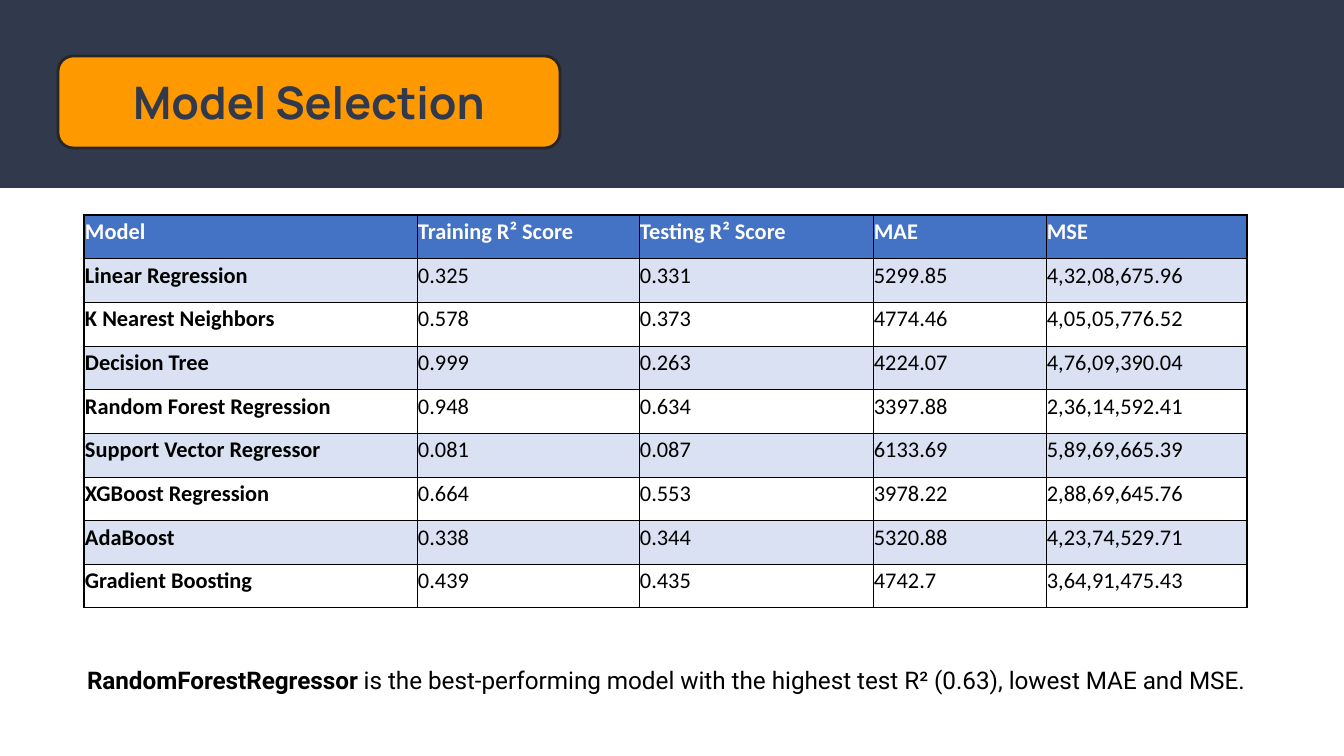
from dataclasses import dataclass

from lxml.etree import SubElement
from pptx import Presentation
from pptx.dml.color import RGBColor
from pptx.enum.shapes import MSO_SHAPE as Shape
from pptx.enum.text import MSO_ANCHOR as Anchor, MSO_AUTO_SIZE as AutoSize, PP_ALIGN as Align
from pptx.oxml.ns import qn
from pptx.util import Pt

EMU_PER_PX = 914400 * 10 / 1344


@dataclass(frozen=True)
class Theme:
    navy: str = "31394D"
    orange: str = "FF9900"
    outline: str = "262626"
    header: str = "4472C4"
    band: str = "D9E1F2"
    black: str = "000000"
    white: str = "FFFFFF"
    title_font: str = "Manrope"
    table_font: str = "Calibri"
    body_font: str = "Roboto"
    title_size: int = 24
    table_size: int = 12
    body_size: int = 13
    thin: float = 0.38
    thick: float = 0.75


def px(value):
    return round(value * EMU_PER_PX)


class SlideBuilder:
    def __init__(self, slide, theme):
        self.slide = slide
        self.theme = theme

    def style(self, font, name, size, color, bold=False):
        font.name = name
        font.size = Pt(size)
        font.bold = bold
        font.color.rgb = RGBColor.from_string(color)

    def box(self, kind, left, top, width, height, fill, line=None):
        shape = self.slide.shapes.add_shape(kind, px(left), px(top), px(width), px(height))
        shape.shadow.inherit = False
        shape.fill.solid()
        shape.fill.fore_color.rgb = RGBColor.from_string(fill)
        if line:
            shape.line.color.rgb = RGBColor.from_string(line)
            shape.line.width = Pt(1.5)
        else:
            shape.line.fill.background()
        return shape

    def inset(self, frame):
        frame.margin_left = frame.margin_right = px(13)
        frame.margin_top = frame.margin_bottom = px(13)
        frame.word_wrap = True

    def title(self, text, left, top, width, height):
        theme = self.theme
        shape = self.box(Shape.ROUNDED_RECTANGLE, left, top, width, height, theme.orange, theme.outline)
        frame = shape.text_frame
        self.inset(frame)
        frame.vertical_anchor = Anchor.MIDDLE
        frame.text = text
        paragraph = frame.paragraphs[0]
        paragraph.alignment = Align.CENTER
        self.style(paragraph.runs[0].font, theme.title_font, theme.title_size, theme.navy, True)

    def note(self, lead, rest, left, top, width, height):
        theme = self.theme
        shape = self.slide.shapes.add_textbox(px(left), px(top), px(width), px(height))
        frame = shape.text_frame
        self.inset(frame)
        frame.auto_size = AutoSize.SHAPE_TO_FIT_TEXT
        for text, bold in ((lead, True), (rest, False)):
            run = frame.paragraphs[0].add_run()
            run.text = text
            self.style(run.font, theme.body_font, theme.body_size, theme.black, bold)

    def borders(self, cell, outer_edges):
        properties = cell._tc.get_or_add_tcPr()
        for edge, is_outer in zip("LRTB", outer_edges):
            width = self.theme.thick if is_outer else self.theme.thin
            line = SubElement(properties, qn(f"a:ln{edge}"), w=str(Pt(width)))
            fill = SubElement(line, qn("a:solidFill"))
            SubElement(fill, qn("a:srgbClr"), val=self.theme.black)

    def cell(self, cell, text, color, bold, fill):
        cell.margin_left = cell.margin_right = cell.margin_top = px(1)
        cell.margin_bottom = px(13)
        cell.vertical_anchor = Anchor.BOTTOM
        cell.text = text
        paragraph = cell.text_frame.paragraphs[0]
        paragraph.alignment = Align.JUSTIFY
        self.style(paragraph.runs[0].font, self.theme.table_font, self.theme.table_size, color, bold)
        if fill:
            cell.fill.solid()
            cell.fill.fore_color.rgb = RGBColor.from_string(fill)
        else:
            cell.fill.background()

    def table(self, rows, left, top, widths, height):
        theme = self.theme
        last_row, last_column = len(rows) - 1, len(widths) - 1
        frame = self.slide.shapes.add_table(
            len(rows), len(widths), px(left), px(top), px(sum(widths)), px(height))
        table = frame.table
        table.first_row = table.horz_banding = False
        for column, width in zip(table.columns, widths):
            column.width = px(width)
        for i, values in enumerate(rows):
            table.rows[i].height = px(height / len(rows))
            fill = theme.header if i == 0 else theme.band if i % 2 else None
            color = theme.white if i == 0 else theme.black
            for j, text in enumerate(values):
                cell = table.cell(i, j)
                self.borders(cell, (j == 0, j == last_column, i == 0, i == last_row))
                self.cell(cell, text, color, i == 0 or j == 0, fill)


MODEL_SCORES = [
    ("Model", "Training R² Score", "Testing R² Score", "MAE", "MSE"),
    ("Linear Regression", "0.325", "0.331", "5299.85", "4,32,08,675.96"),
    ("K Nearest Neighbors", "0.578", "0.373", "4774.46", "4,05,05,776.52"),
    ("Decision Tree", "0.999", "0.263", "4224.07", "4,76,09,390.04"),
    ("Random Forest Regression", "0.948", "0.634", "3397.88", "2,36,14,592.41"),
    ("Support Vector Regressor", "0.081", "0.087", "6133.69", "5,89,69,665.39"),
    ("XGBoost Regression", "0.664", "0.553", "3978.22", "2,88,69,645.76"),
    ("AdaBoost", "0.338", "0.344", "5320.88", "4,23,74,529.71"),
    ("Gradient Boosting", "0.439", "0.435", "4742.7", "3,64,91,475.43"),
]


def main():
    presentation = Presentation()
    presentation.slide_width = px(1344)
    presentation.slide_height = px(756)
    slide = presentation.slides.add_slide(presentation.slide_layouts[6])
    theme = Theme()
    builder = SlideBuilder(slide, theme)
    builder.box(Shape.RECTANGLE, 0, 0, 1344, 188, theme.navy)
    builder.table(MODEL_SCORES, 84, 215, (333, 222, 234, 173, 201), 393)
    builder.title("Model Selection", 58, 56, 502, 92)
    builder.note(
        "RandomForestRegressor",
        " is the best-performing model with the highest test R² (0.63), lowest MAE and MSE.",
        74, 652, 1198, 57)
    presentation.save("out.pptx")


if __name__ == "__main__":
    main()
